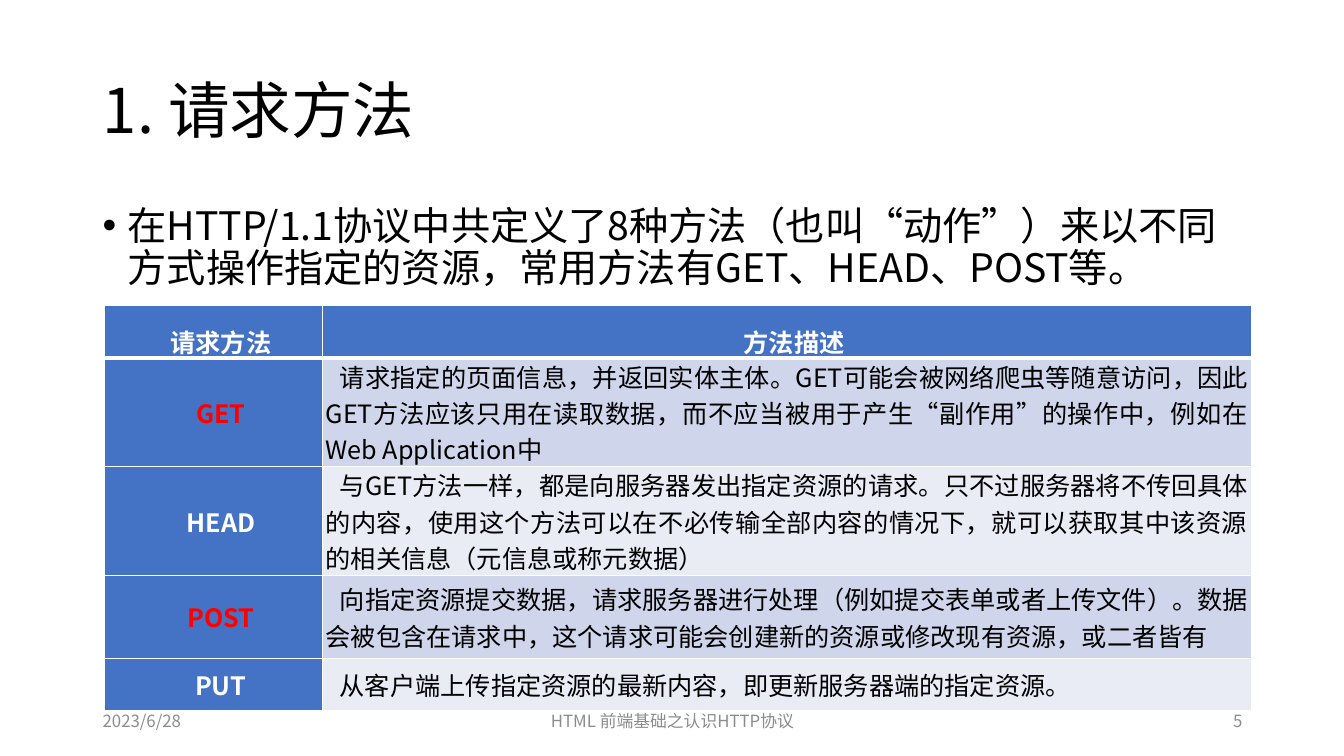
import pptx
import pptx.dml.color
import pptx.enum.text
import pptx.oxml
import pptx.oxml.ns
import pptx.util
from pptx.util import Inches

FONT = "Noto Sans CJK SC"
ALIGN = pptx.enum.text.PP_ALIGN
ANCHOR = pptx.enum.text.MSO_ANCHOR
BLACK, WHITE, RED, BLUE, GREY = "000000", "FFFFFF", "FF0000", "4472C4", "8C8C8C"
BANDS = ["CFD5EA", "E9EBF5"]

TITLE = "1. 请求方法"
SUMMARY = "在HTTP/1.1协议中共定义了8种方法（也叫“动作”）来以不同方式操作指定的资源，常用方法有GET、HEAD、POST等。"
HEADINGS = ["请求方法", "方法描述"]
METHODS = [
    ("GET", RED, 1.08, "请求指定的页面信息，并返回实体主体。GET可能会被网络爬虫等随意访问，因此GET方法应该只用在读取数据，而不应当被用于产生“副作用”的操作中，例如在Web Application中"),
    ("HEAD", WHITE, 1.08, "与GET方法一样，都是向服务器发出指定资源的请求。只不过服务器将不传回具体的内容，使用这个方法可以在不必传输全部内容的情况下，就可以获取其中该资源的相关信息（元信息或称元数据）"),
    ("POST", RED, 0.82, "向指定资源提交数据，请求服务器进行处理（例如提交表单或者上传文件）。数据会被包含在请求中，这个请求可能会创建新的资源或修改现有资源，或二者皆有"),
    ("PUT", WHITE, 0.52, "从客户端上传指定资源的最新内容，即更新服务器端的指定资源。"),
]
FOOTER = [
    ("2023/6/28", 0, 3, ALIGN.LEFT),
    ("HTML 前端基础之认识HTTP协议", 3.5, 4.5, ALIGN.CENTER),
    ("5", 8.5, 3, ALIGN.RIGHT),
]


def color(value):
    return pptx.dml.color.RGBColor.from_string(value)


def xml_element(tag, **attributes):
    element = pptx.oxml.parse_xml(f"<a:{tag} {pptx.oxml.ns.nsdecls('a')}/>")
    for key, value in attributes.items():
        element.set(key, str(value))
    return element


def write(frame, text, size, ink, align, spacing=1.0, bold=False):
    frame.text = text
    frame.word_wrap = True
    paragraph = frame.paragraphs[0]
    paragraph.alignment = align
    paragraph.line_spacing = spacing
    run = paragraph.runs[0]
    run.font.size = pptx.util.Pt(size)
    run.font.bold = bold
    run.font.color.rgb = color(ink)
    run.font.name = FONT
    run._r.get_or_add_rPr().append(xml_element("ea", typeface=FONT))
    return paragraph


def indent(paragraph, margin, first):
    properties = paragraph._p.get_or_add_pPr()
    properties.set("marL", str(Inches(margin)))
    properties.set("indent", str(Inches(first)))
    return properties


def add_title(slide, left, top, width, height):
    title = slide.shapes.title
    title.left, title.top = Inches(left), Inches(top)
    title.width, title.height = Inches(width), Inches(height)
    title.text_frame.vertical_anchor = ANCHOR.MIDDLE
    write(title.text_frame, TITLE, 44, BLACK, ALIGN.LEFT, 0.9)


def add_summary(slide, left, top, width, height):
    summary = slide.shapes.add_textbox(Inches(left), Inches(top), Inches(width), Inches(height))
    paragraph = write(summary.text_frame, SUMMARY, 28, BLACK, ALIGN.LEFT, 0.9)
    paragraph.space_before = pptx.util.Pt(10)
    properties = indent(paragraph, 0.25, -0.25)
    properties.append(xml_element("buFont", typeface="Arial"))
    properties.append(xml_element("buChar", char="•"))


def add_footer(slide, left, top, height):
    for text, offset, width, align in FOOTER:
        part = slide.shapes.add_textbox(Inches(left + offset), Inches(top), Inches(width), Inches(height))
        part.text_frame.vertical_anchor = ANCHOR.MIDDLE
        write(part.text_frame, text, 12, GREY, align)


def add_borders(cell, bottom):
    properties = cell._tc.get_or_add_tcPr()
    for position, (side, points) in enumerate([("L", 1), ("R", 1), ("T", 1), ("B", bottom)]):
        border = xml_element(f"ln{side}", w=pptx.util.Pt(points))
        fill = xml_element("solidFill")
        fill.append(xml_element("srgbClr", val=WHITE))
        border.append(fill)
        properties.insert(position, border)


def fill_cell(cell, text, ink, fill, align, anchor=ANCHOR.MIDDLE, spacing=1.0, bold=True, bottom=1):
    cell.margin_left = cell.margin_right = Inches(0.03)
    cell.margin_top = cell.margin_bottom = 0
    cell.vertical_anchor = anchor
    cell.fill.solid()
    cell.fill.fore_color.rgb = color(fill)
    add_borders(cell, bottom)
    indent(write(cell.text_frame, text, 18, ink, align, spacing, bold), 0, 0.14)


def add_methods(slide, left, top, widths, header_height):
    heights = [header_height] + [height for _, _, height, _ in METHODS]
    table = slide.shapes.add_table(
        len(heights), len(widths), Inches(left), Inches(top), Inches(sum(widths)), Inches(sum(heights))
    ).table
    for column, width in zip(table.columns, widths):
        column.width = Inches(width)
    for row, height in zip(table.rows, heights):
        row.height = Inches(height)
    for index, heading in enumerate(HEADINGS):
        fill_cell(table.cell(0, index), heading, WHITE, BLUE, ALIGN.CENTER, ANCHOR.TOP, 1.5, bottom=3)
    for index, (method, ink, _, description) in enumerate(METHODS):
        fill_cell(table.cell(index + 1, 0), method, ink, BLUE, ALIGN.CENTER)
        fill_cell(table.cell(index + 1, 1), description, BLACK, BANDS[index % 2], ALIGN.JUSTIFY, bold=False)


def main():
    deck = pptx.Presentation()
    deck.slide_width, deck.slide_height = Inches(13.33), Inches(7.5)
    slide = deck.slides.add_slide(deck.slide_layouts[5])
    add_title(slide, 0.92, 0.4, 11.5, 1.45)
    add_summary(slide, 0.92, 2, 11.5, 4.76)
    add_footer(slide, 0.92, 6.95, 0.4)
    add_methods(slide, 1.04, 3.03, [2.16, 9.21], 0.52)
    deck.save("out.pptx")


if __name__ == "__main__":
    main()
